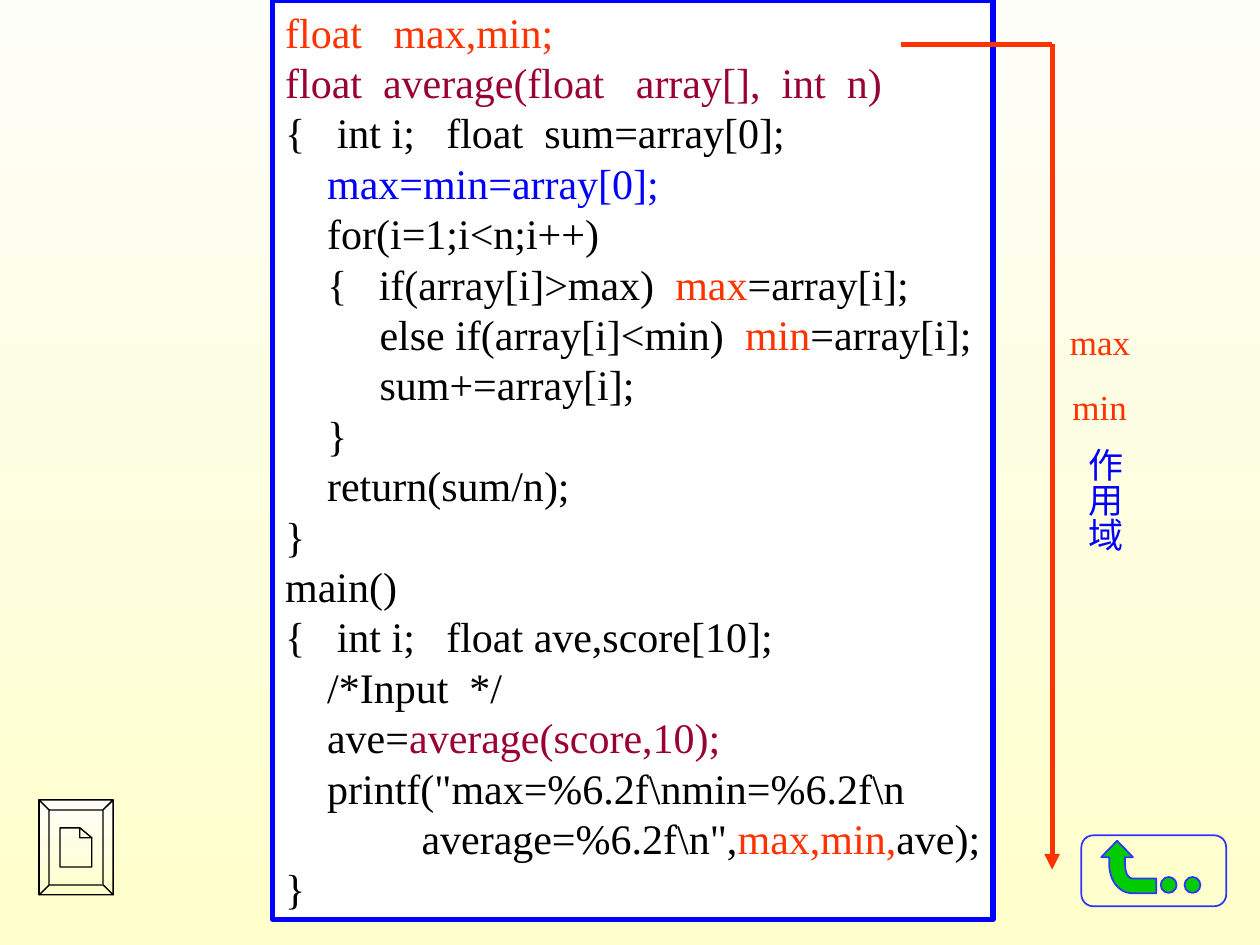
from dataclasses import dataclass

from lxml import etree
from pptx import Presentation
from pptx import util as u
from pptx.dml.color import RGBColor
from pptx.enum import shapes, text
from pptx.oxml.ns import qn

Point = tuple[float, float]

IVORY = RGBColor(0xFE, 0xFE, 0xF8)
CREAM = RGBColor(0xFF, 0xFF, 0xCC)
WHITE = RGBColor(0xFF, 0xFF, 0xFF)
BLACK = RGBColor(0x00, 0x00, 0x00)
BLUE = RGBColor(0x00, 0x00, 0xFF)
INDIGO = RGBColor(0x33, 0x33, 0xFF)
GREEN = RGBColor(0x00, 0xCC, 0x00)
ORANGE = RGBColor(0xFF, 0x33, 0x00)
MAROON = RGBColor(0x99, 0x00, 0x33)
FONT = "Times New Roman"


@dataclass
class Span:
    text: str
    color: RGBColor = BLACK


@dataclass
class Label:
    text: str
    color: RGBColor
    left: float
    top: float
    width: float
    height: float
    vertical: bool = False


CODE: list[list[Span]] = [
    [Span("float   max,min;", ORANGE)],
    [Span("float  average(float   array[],  int  n)", MAROON)],
    [Span("{   int i;   float  sum=array[0];")],
    [Span("    max=min=array[0];", BLUE)],
    [Span("    for(i=1;i<n;i++)")],
    [Span("    {   if(array[i]>max) "), Span(" max", ORANGE), Span("=array[i];")],
    [Span("         else if(array[i]<min)  "), Span("min", ORANGE), Span("=array[i];")],
    [Span("         sum+=array[i];")],
    [Span("    }")],
    [Span("    return(sum/n);")],
    [Span("}")],
    [Span("main()")],
    [Span("{   int i;   float ave,score[10];")],
    [Span("    /*Input  */")],
    [Span("    ave="), Span("average(score,10);", MAROON)],
    [Span('    printf("max=%6.2f\\nmin=%6.2f\\n')],
    [Span('             average=%6.2f\\n",'), Span("max,min,", ORANGE), Span("ave);")],
    [Span("}")],
]

LABELS = [
    Label("作用域", BLUE, 21.59, 8.77, 1.35, 2.39, vertical=True),
    Label("max", ORANGE, 21.31, 6.32, 1.73, 1.12),
    Label("min", ORANGE, 21.37, 7.63, 1.6, 1.12),
]


def fill_gradient(fill) -> None:
    fill.gradient()
    fill.gradient_angle = 270
    for stop, color in zip(fill.gradient_stops, (IVORY, CREAM)):
        stop.color.rgb = color


def set_style(shape, line: RGBColor, width: float, fill: RGBColor | None = None) -> None:
    shape.shadow.inherit = False
    shape.line.color.rgb = line
    shape.line.width = u.Pt(width)
    if fill is None:
        shape.fill.background()
    else:
        shape.fill.solid()
        shape.fill.fore_color.rgb = fill


def add_box(page, preset, left: float, top: float, width: float, height: float):
    return page.shapes.add_shape(preset, u.Cm(left), u.Cm(top), u.Cm(width), u.Cm(height))


def add_outline(page, contours: list[list[Point]]):
    scaled = [[(u.Cm(x), u.Cm(y)) for x, y in contour] for contour in contours]
    builder = page.shapes.build_freeform(*scaled[0][0], scale=1.0)
    builder.add_line_segments(scaled[0][1:], close=True)
    for contour in scaled[1:]:
        builder.move_to(*contour[0])
        builder.add_line_segments(contour[1:], close=True)
    return builder.convert_to_shape()


def separate_paths(shape) -> None:
    path = shape.element.find(".//" + qn("a:path"))
    paths = path.getparent()
    for step in list(path):
        if step.tag == qn("a:moveTo"):
            target = etree.SubElement(paths, qn("a:path"), dict(path.attrib))
        target.append(step)
    paths.remove(path)


def curve(start: Point, first: Point, second: Point, end: Point, steps: int = 12) -> list[Point]:
    points = []
    for step in range(steps + 1):
        t = step / steps
        weights = ((1 - t) ** 3, 3 * t * (1 - t) ** 2, 3 * t**2 * (1 - t), t**3)
        controls = (start, first, second, end)
        points.append(tuple(sum(w * c[axis] for w, c in zip(weights, controls)) for axis in (0, 1)))
    return points


def format_span(span, color: RGBColor, size: int) -> None:
    span.font.name = FONT
    span.font.size = u.Pt(size)
    span.font.color.rgb = color


def add_page_button(page) -> None:
    left, top, right, bottom, bevel = 0.79, 16.13, 2.28, 18.04, 0.2
    outer = [(left, top), (right, top), (right, bottom), (left, bottom)]
    inner = [
        (left + bevel, top + bevel),
        (right - bevel, top + bevel),
        (right - bevel, bottom - bevel),
        (left + bevel, bottom - bevel),
    ]
    bevels = [
        [outer[i], outer[(i + 1) % 4], inner[(i + 1) % 4], inner[i]] for i in range(4)
    ]
    sheet = [(1.21, 16.69), (1.61, 16.69), (1.85, 16.89), (1.85, 17.48), (1.21, 17.48)]
    fold = [(1.61, 16.69), (1.85, 16.89), (1.61, 16.89)]
    button = add_outline(page, [outer, *bevels, sheet, fold])
    separate_paths(button)
    set_style(button, BLACK, 0.75)
    fill_gradient(button.fill)


def add_return_button(page) -> None:
    frame = add_box(page, shapes.MSO_SHAPE.ROUNDED_RECTANGLE, 21.8, 16.84, 2.92, 1.43)
    set_style(frame, INDIGO, 1)
    outer = curve((22.84, 18.01), (22.56, 18.01), (22.36, 17.76), (22.36, 17.4))
    head = [(22.36, 17.28), (22.2, 17.28), (22.52, 16.95), (22.84, 17.28), (22.68, 17.28)]
    inner = curve((22.68, 17.4), (22.68, 17.58), (22.73, 17.71), (22.84, 17.71))
    arrow = add_outline(page, [[(23.31, 18.01), *outer, *head, *inner, (23.31, 17.71)]])
    set_style(arrow, INDIGO, 1, GREEN)
    for left in (23.4, 23.88):
        dot = add_box(page, shapes.MSO_SHAPE.OVAL, left, 17.68, 0.32, 0.32)
        set_style(dot, INDIGO, 1, GREEN)


def add_code(page) -> None:
    box = add_box(page, shapes.MSO_SHAPE.RECTANGLE, 5.5, 0, 14.52, 18.54)
    set_style(box, BLUE, 3, WHITE)
    frame = box.text_frame
    frame.word_wrap = False
    frame.auto_size = text.MSO_AUTO_SIZE.SHAPE_TO_FIT_TEXT
    frame.vertical_anchor = text.MSO_ANCHOR.TOP
    frame.margin_right = u.Cm(0.15)
    for number, line in enumerate(CODE):
        para = frame.add_paragraph() if number else frame.paragraphs[0]
        para.alignment = text.PP_ALIGN.LEFT
        for part in line:
            span = para.add_run()
            span.text = part.text
            format_span(span, part.color, 24)


def add_scope_line(page, start: Point, end: Point, arrow: bool = False) -> None:
    ends = [u.Cm(value) for value in (*start, *end)]
    connector = page.shapes.add_connector(shapes.MSO_CONNECTOR.STRAIGHT, *ends)
    connector.line.color.rgb = ORANGE
    connector.line.width = u.Pt(3)
    if arrow:
        etree.SubElement(connector.line._get_or_add_ln(), qn("a:tailEnd"), type="triangle")
    etree.SubElement(connector.element.spPr, qn("a:effectLst"))


def add_label(page, label: Label) -> None:
    box = page.shapes.add_textbox(
        u.Cm(label.left), u.Cm(label.top), u.Cm(label.width), u.Cm(label.height)
    )
    frame = box.text_frame
    frame.text = label.text
    frame.word_wrap = False
    frame.auto_size = text.MSO_AUTO_SIZE.SHAPE_TO_FIT_TEXT
    frame.vertical_anchor = text.MSO_ANCHOR.MIDDLE
    if label.vertical:
        frame.margin_left = frame.margin_right = u.Cm(0.13)
        frame.margin_top = frame.margin_bottom = u.Cm(0.25)
        box.element.txBody.bodyPr.set("vert", "eaVert")
    para = frame.paragraphs[0]
    para.alignment = text.PP_ALIGN.CENTER
    format_span(para.runs[0], label.color, 20)


def main() -> None:
    deck = Presentation()
    deck.slide_width, deck.slide_height = u.Cm(25.4), u.Cm(19.05)
    page = deck.slides.add_slide(deck.slide_layouts[6])
    fill_gradient(page.background.fill)
    add_page_button(page)
    add_return_button(page)
    add_code(page)
    corner = (21.21, 0.89)
    add_scope_line(page, (18.16, 0.89), corner)
    add_scope_line(page, corner, (21.21, 17.53), arrow=True)
    for label in LABELS:
        add_label(page, label)
    deck.save("out.pptx")


if __name__ == "__main__":
    main()
